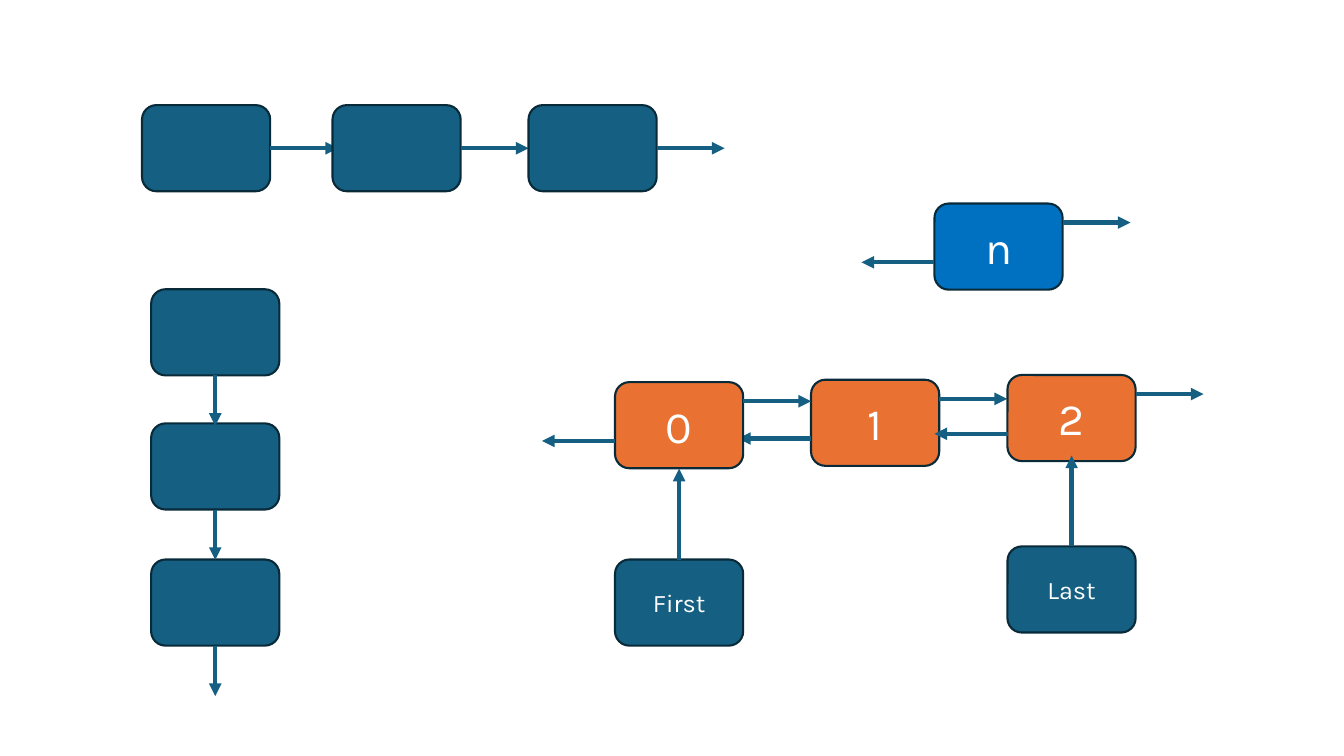
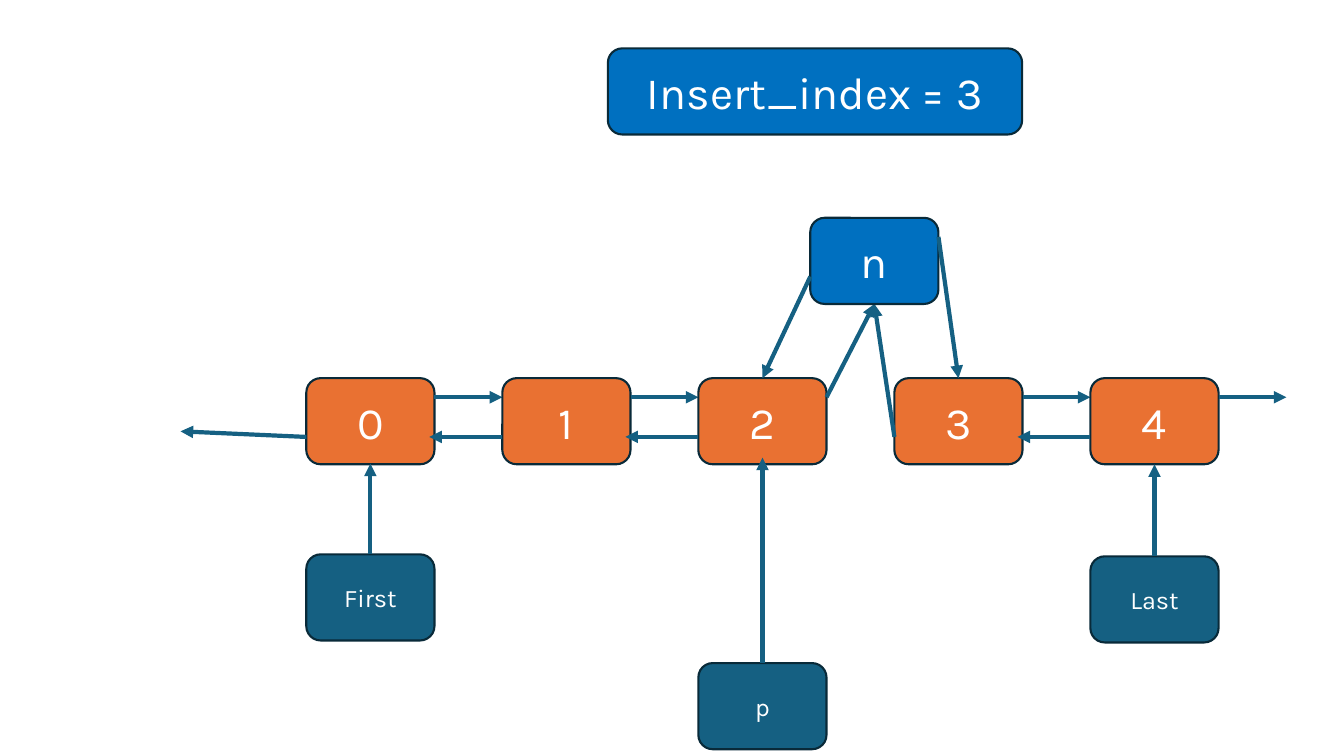
from lxml.etree import SubElement
from pptx import Presentation
from pptx.dml.color import RGBColor
from pptx.enum.shapes import MSO_CONNECTOR, MSO_SHAPE
from pptx.enum.text import MSO_ANCHOR, PP_ALIGN
from pptx.oxml.ns import qn
from pptx.util import Cm, Pt

TEAL, ORANGE, BLUE = "156082", "E97132", "0070C0"
EDGE, WHITE = "092A39", "FFFFFF"
FONT = "Karla"
WIDE, HIGH = 3.23, 2.17
PITCH = 4.94

# Where an arrow leaves a node, and how far it runs by default
PORTS = {
    "right": ((WIDE, HIGH / 2), (1.71, 0)),
    "down": ((WIDE / 2, HIGH), (0, 1.27)),
    "up": ((WIDE / 2, 0), (0, -2.29)),
    "next": ((WIDE, 0.48), (1.71, 0)),
    "prev": ((0, 1.48), (-1.84, 0)),
}
BOTH = {"next": None, "prev": None}
UP = {"up": None}


def top(x, y):
    return x + WIDE / 2, y


def base(x, y):
    return x + WIDE / 2, y + HIGH


# Node: text, fill, left, top, {port: end point, or None for the default run}
LISTS = [("", TEAL, x, 2.65, {"right": None}) for x in (3.58, 8.38, 13.32)]
LISTS += [("", TEAL, 3.81, y, {"down": None}) for y in (14.1, 10.67, 7.29)]
LISTS += [
    ("1", ORANGE, 20.44, 9.57, BOTH),
    ("0", ORANGE, 15.5, 9.63, BOTH),
    ("2", ORANGE, 25.39, 9.45, BOTH),
    ("n", BLUE, 23.55, 5.13, BOTH),
    ("First", TEAL, 15.5, 14.1, UP),
    ("Last", TEAL, 25.39, 13.77, UP),
]

ROW = 9.53
COLS = [7.72 + PITCH * i for i in range(5)]
NEW = (20.42, 5.49)
ENDS = {
    0: {"prev": (4.55, 10.87)},
    2: {"next": base(*NEW)},
    3: {"prev": base(*NEW)},
}
INSERT = [(str(i), ORANGE, x, ROW, BOTH | ENDS.get(i, {}))
          for i, x in enumerate(COLS)]
INSERT += [
    ("n", BLUE, *NEW, {"next": top(COLS[3], ROW), "prev": top(COLS[2], ROW)}),
    ("First", TEAL, COLS[0], 13.97, UP),
    ("Last", TEAL, COLS[4], 14.02, {"up": base(COLS[4], ROW)}),
    ("p", TEAL, COLS[2], 16.71, {"up": (COLS[2] + WIDE / 2, 11.53)}),
]


def color(code):
    return RGBColor.from_string(code)


def write(shape, text, size=32, tint=WHITE, font=FONT):
    frame = shape.text_frame
    frame.word_wrap = True
    frame.vertical_anchor = MSO_ANCHOR.MIDDLE
    para = frame.paragraphs[0]
    para.alignment = PP_ALIGN.CENTER
    run = para.add_run()
    run.text = text
    run.font.name, run.font.size = font, Pt(size)
    run.font.color.rgb = color(tint)


def box(slide, text, fill, x, y, wide=WIDE):
    shape = slide.shapes.add_shape(MSO_SHAPE.ROUNDED_RECTANGLE,
                                   Cm(x), Cm(y), Cm(wide), Cm(HIGH))
    shape.shadow.inherit = False
    shape.fill.solid()
    shape.fill.fore_color.rgb = color(fill)
    shape.line.color.rgb = color(EDGE)
    shape.line.width = Pt(1.5)
    if text:
        write(shape, text, size=18 if fill == TEAL else 32)


def arrow(slide, start, end):
    link = slide.shapes.add_connector(MSO_CONNECTOR.STRAIGHT,
                                      *map(Cm, start + end))
    link.line.color.rgb = color(TEAL)
    link.line.width = Pt(3)
    SubElement(link.line._get_or_add_ln(), qn("a:tailEnd"), type="triangle")
    SubElement(link._element.spPr, qn("a:effectLst"))


def draw(slide, nodes):
    """Draw each node followed by its arrows, back to front."""
    for text, fill, x, y, links in nodes:
        box(slide, text, fill, x, y)
        for port, end in links.items():
            (dx, dy), (run, rise) = PORTS[port]
            start = (x + dx, y + dy)
            arrow(slide, start, end or (start[0] + run, start[1] + rise))


def main():
    deck = Presentation()
    deck.slide_width, deck.slide_height = Cm(33.87), Cm(19.05)
    blank = deck.slide_layouts[6]
    draw(deck.slides.add_slide(blank), LISTS)
    slide = deck.slides.add_slide(blank)
    draw(slide, INSERT)
    box(slide, "Insert_index = 3", BLUE, 15.32, 1.22, wide=10.44)
    deck.save("out.pptx")


if __name__ == "__main__":
    main()
